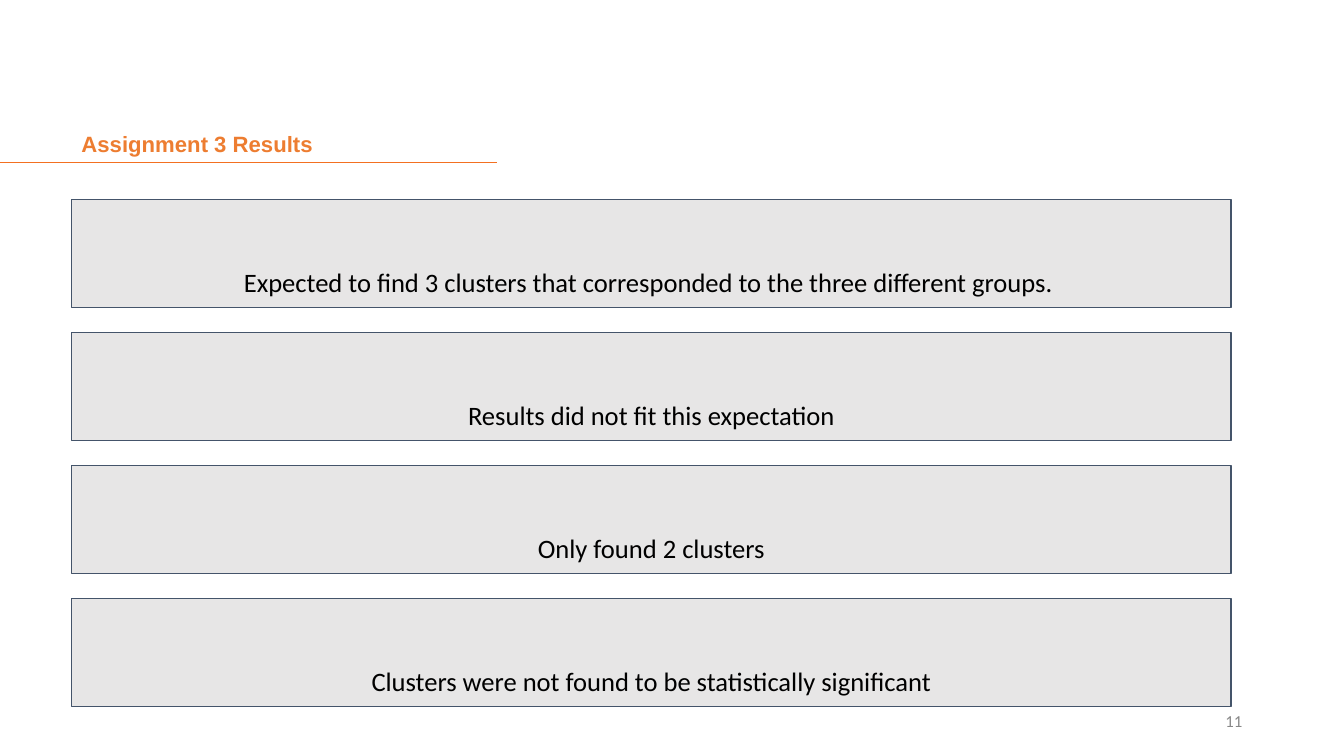
from pptx import Presentation
from pptx.dml.color import RGBColor
from pptx.enum.shapes import MSO_CONNECTOR as Connector, MSO_SHAPE as Shape
from pptx.enum.text import MSO_ANCHOR as Anchor, PP_ALIGN as Align
from pptx.oxml.ns import qn
from pptx.util import Inches, Pt
from lxml.etree import SubElement

FINDINGS = [
    "Expected to find 3 clusters that corresponded to the three different groups. ",
    "Results did not fit this expectation",
    "Only found 2 clusters",
    "Clusters were not found to be statistically significant",
]
LEFT, WIDTH, HEIGHT = 0.71, 11.5, 1.07
FIRST_TOP, STEP = 1.98, 1.32


def color(code):
    return RGBColor.from_string(code)


class ResultsPage:
    """Holds the style and the current slide."""

    accent, rule, ink, muted = "ED7D31", "F37021", "000000", "888888"
    panel, border = "E7E6E6", "44546A"

    def __init__(self, page):
        self.shapes = page.shapes

    def set_text(self, box, text, size, code, align, anchor, margin=0.05,
                 font="Calibri", bold=False, spacing=1.0):
        frame = box.text_frame
        frame.word_wrap = True
        frame.vertical_anchor = anchor
        frame.margin_left = frame.margin_right = Inches(0.1)
        frame.margin_top = frame.margin_bottom = Inches(margin)
        para = frame.paragraphs[0]
        para.text = text
        para.alignment = align
        para.line_spacing = spacing
        para.font.name = font
        para.font.size = Pt(size)
        para.font.bold = bold
        para.font.color.rgb = color(code)

    def label(self, left, top, width, height, *args, **style):
        box = self.shapes.add_textbox(
            Inches(left), Inches(top), Inches(width), Inches(height))
        self.set_text(box, *args, **style)

    def line(self, left, right, top):
        line = self.shapes.add_connector(
            Connector.STRAIGHT, Inches(left), Inches(top), Inches(right), Inches(top))
        line.line.color.rgb = color(self.rule)
        line.line.width = Pt(1)
        SubElement(line._element.spPr, qn("a:effectLst"))

    def finding(self, top, text):
        box = self.shapes.add_shape(
            Shape.RECTANGLE, Inches(LEFT), Inches(top), Inches(WIDTH), Inches(HEIGHT))
        box.shadow.inherit = False
        box.fill.solid()
        box.fill.fore_color.rgb = color(self.panel)
        box.line.color.rgb = color(self.border)
        box.line.width = Pt(0.75)
        self.set_text(box, text, 19, self.ink, Align.CENTER, Anchor.BOTTOM,
                      margin=0.1, spacing=2.0)


def main():
    deck = Presentation()
    deck.slide_width, deck.slide_height = Inches(13.33), Inches(7.5)
    page = ResultsPage(deck.slides.add_slide(deck.slide_layouts[6]))
    page.line(0, 4.93, 1.61)
    page.label(LEFT, 0.54, WIDTH, HEIGHT, "Assignment 3 Results", 15.8, page.accent,
               Align.LEFT, Anchor.BOTTOM, font="Arial", bold=True, spacing=0.9)
    for row, text in enumerate(FINDINGS):
        page.finding(FIRST_TOP + row * STEP, text)
    page.label(9.42, 6.95, 3, 0.4, "11", 12, page.muted, Align.RIGHT, Anchor.MIDDLE)
    deck.save("out.pptx")


if __name__ == "__main__":
    main()
